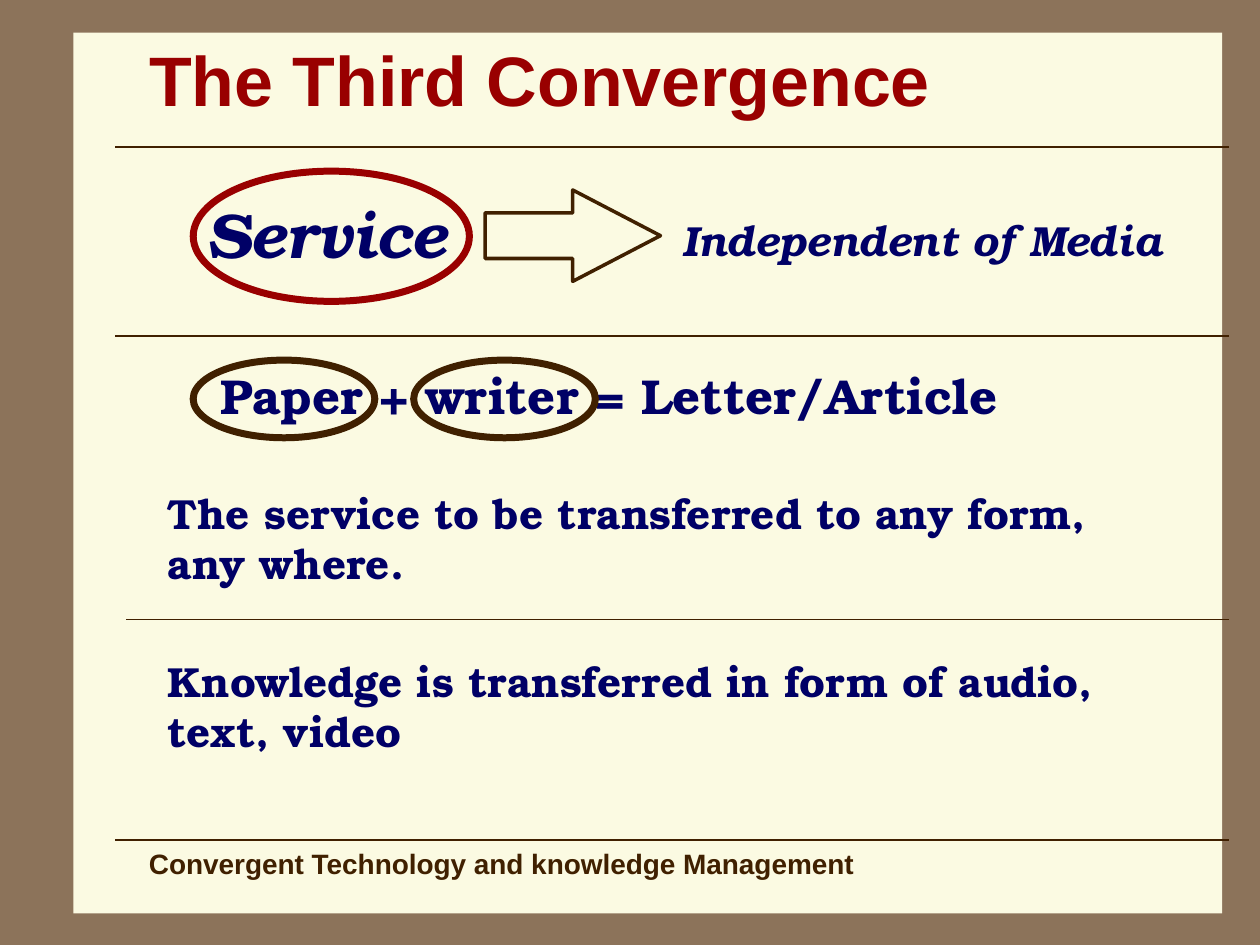
from lxml import etree
from pptx import Presentation
from pptx.dml.color import RGBColor
from pptx.enum.shapes import MSO_CONNECTOR, MSO_SHAPE
from pptx.enum.text import MSO_ANCHOR, MSO_AUTO_SIZE, PP_ALIGN
from pptx.oxml.ns import qn
from pptx.util import Inches, Pt

STRAIGHT = MSO_CONNECTOR.STRAIGHT
RECT, OVAL, ARROW = MSO_SHAPE.RECTANGLE, MSO_SHAPE.OVAL, MSO_SHAPE.RIGHT_ARROW
LEFT, CENTER = PP_ALIGN.LEFT, PP_ALIGN.CENTER
MIDDLE, TOP = MSO_ANCHOR.MIDDLE, MSO_ANCHOR.TOP
FIXED = MSO_AUTO_SIZE.NONE

BROWN, RED, NAVY = "402000", "990000", "000066"
SANS, SERIF = "Arial", "TeX Gyre Bonum"


def color(code):
    return RGBColor.from_string(code)


def grid(*units):
    """Turn grid steps, twelve to the inch, into lengths."""
    return [Inches(unit / 12) for unit in units]


class Deck:
    def __init__(self):
        self.prs = Presentation()
        self.prs.slide_width, self.prs.slide_height = grid(120, 90)
        self.slide = self.prs.slides.add_slide(self.prs.slide_layouts[5])
        self.shapes = self.slide.shapes

    def back(self, code):
        fill = self.slide.background.fill
        fill.solid()
        fill.fore_color.rgb = color(code)

    def label(self, box, text, size, code, face, italic=False,
              align=LEFT, anchor=TOP, wrap=True):
        frame = box.text_frame
        frame.text = text
        frame.word_wrap = wrap
        frame.auto_size = FIXED
        frame.vertical_anchor = anchor
        par = frame.paragraphs[0]
        par.alignment = align
        par.space_before = Pt(0)
        font = par.runs[0].font
        font.name, font.size = face, Pt(size)
        font.bold, font.italic = True, italic
        font.color.rgb = color(code)

    def title(self, text, area):
        box = self.shapes.title
        box.left, box.top, box.width, box.height = grid(*area)
        self.label(box, text, 40, RED, SANS, anchor=MIDDLE)

    def text(self, text, area, size=24, code=NAVY, face=SERIF, **style):
        box = self.shapes.add_textbox(*grid(*area))
        self.label(box, text, size, code, face, **style)

    def shape(self, kind, area, fill=None, line=None, width=1):
        item = self.shapes.add_shape(kind, *grid(*area))
        item.shadow.inherit = False
        if fill:
            item.fill.solid()
            item.fill.fore_color.rgb = color(fill)
        else:
            item.fill.background()
        if line:
            item.line.color.rgb = color(line)
            item.line.width = Pt(width)
        else:
            item.line.fill.background()
        return item

    def rule(self, row, start=11, end=117):
        line = self.shapes.add_connector(STRAIGHT, *grid(start, row, end, row))
        line.line.color.rgb = color(BROWN)
        line.line.width = Pt(1)
        etree.SubElement(line._element.spPr, qn("a:effectLst"))


def main():
    deck = Deck()

    # Page panel behind everything, then title
    deck.back("8C735A")
    panel = deck.shape(RECT, (7, 3.1, 109.4, 83.9), fill="FBFAE2")
    deck.shapes.title._element.addprevious(panel._element)
    deck.title("The Third Convergence", (13, 1, 103, 13))

    # Rules between the sections
    for row, start in ((14, 11), (32, 11), (59, 12), (80, 11)):
        deck.rule(row, start)

    # Service leads to media independence
    deck.text("Service", (17.5, 18, 27.2, 8.4), 36,
              italic=True, align=CENTER, wrap=False)
    deck.shape(OVAL, (18.4, 16.3, 26.3, 12.4), line=RED, width=4)
    arrow = deck.shape(ARROW, (46.2, 18.1, 16.7, 8.7), line=BROWN, width=2)
    arrow.adjustments[1] = 0.96
    deck.text("Independent of Media", (63.8, 19.8, 48.1, 6),
              italic=True, wrap=False)

    # Equation with its two terms ringed
    deck.text("Paper + writer = Letter/Article", (19.8, 34.2, 79.2, 6.8), 28)
    for left in (18.4, 39.4):
        deck.shape(OVAL, (left, 34.3, 17.3, 7.4), line=BROWN, width=4)

    # Statements
    deck.text("The service to be transferred to any form, any where.",
              (14.8, 45.8, 98.2, 10.8))
    deck.text("Knowledge is transferred in form of audio, text, video",
              (14.8, 61.8, 100.2, 10.8))

    # Footer
    deck.text("Convergent Technology and knowledge Management",
              (13, 80, 75, 6), 16, BROWN, SANS)

    deck.prs.save("out.pptx")


if __name__ == "__main__":
    main()
